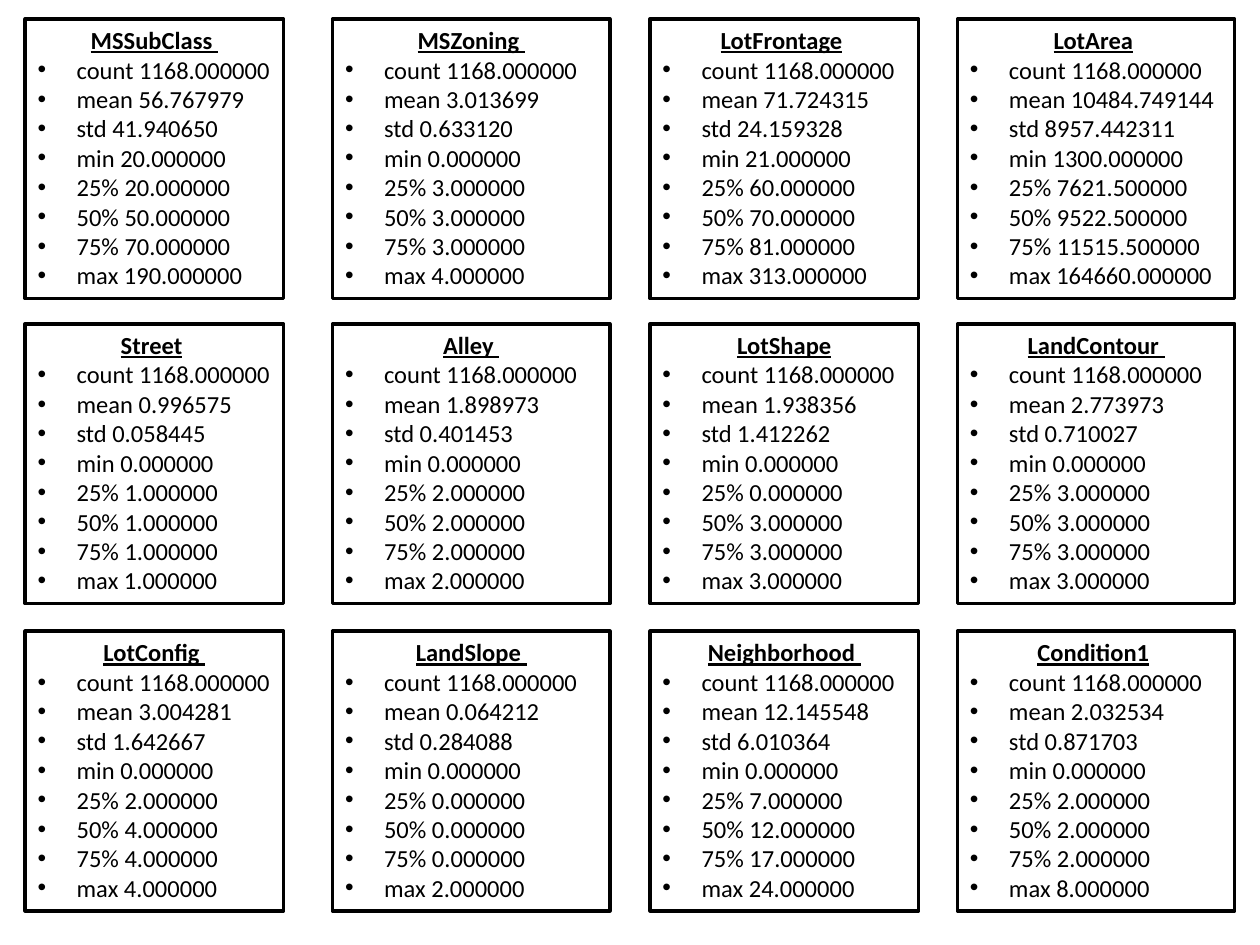
import pptx
import pptx.dml.color
import pptx.enum.shapes
import pptx.enum.text
import pptx.oxml
import pptx.oxml.ns
import pptx.util
from pptx.util import Inches

COLORS = {"fill": "FFFFFF", "ink": "000000"}
STAT_NAMES = ["count", "mean", "std", "min", "25%", "50%", "75%", "max"]
COLUMNS = [(0.2, 2.05), (2.64, 2.2), (5.16, 2.13), (7.6, 2.2)]
ROW_TOPS = [0.15, 2.57, 5.01]
CARD_HEIGHT = 2.22

FEATURES = [
    ("MSSubClass ", "", "1168.000000 56.767979 41.940650 20.000000 20.000000 50.000000 70.000000 190.000000"),
    ("MSZoning ", "", "1168.000000 3.013699 0.633120 0.000000 3.000000 3.000000 3.000000 4.000000"),
    ("LotFrontage", " ", "1168.000000 71.724315 24.159328 21.000000 60.000000 70.000000 81.000000 313.000000"),
    ("LotArea", " ", "1168.000000 10484.749144 8957.442311 1300.000000 7621.500000 9522.500000 11515.500000 164660.000000"),
    ("Street", " ", "1168.000000 0.996575 0.058445 0.000000 1.000000 1.000000 1.000000 1.000000"),
    ("Alley ", "", "1168.000000 1.898973 0.401453 0.000000 2.000000 2.000000 2.000000 2.000000"),
    ("LotShape", "", "1168.000000 1.938356 1.412262 0.000000 0.000000 3.000000 3.000000 3.000000"),
    ("LandContour ", "", "1168.000000 2.773973 0.710027 0.000000 3.000000 3.000000 3.000000 3.000000"),
    ("LotConfig ", "", "1168.000000 3.004281 1.642667 0.000000 2.000000 4.000000 4.000000 4.000000"),
    ("LandSlope ", "", "1168.000000 0.064212 0.284088 0.000000 0.000000 0.000000 0.000000 2.000000"),
    ("Neighborhood ", "", "1168.000000 12.145548 6.010364 0.000000 7.000000 12.000000 17.000000 24.000000"),
    ("Condition1", " ", "1168.000000 2.032534 0.871703 0.000000 2.000000 2.000000 2.000000 8.000000"),
]


def rgb(name):
    return pptx.dml.color.RGBColor.from_string(COLORS[name])


def style_text(paragraph, alignment):
    paragraph.alignment = alignment
    paragraph.font.name = "Calibri"
    paragraph.font.size = pptx.util.Pt(14)
    paragraph.font.color.rgb = rgb("ink")


def add_bullet(paragraph):
    properties = paragraph._p.get_or_add_pPr()
    properties.set("marL", str(Inches(0.31)))
    properties.set("indent", str(Inches(-0.31)))
    namespace = pptx.oxml.ns.nsdecls("a")
    for position, markup in enumerate([
        f'<a:buFont {namespace} typeface="Arial"/>',
        f'<a:buChar {namespace} char="•"/>',
    ]):
        properties.insert(position, pptx.oxml.parse_xml(markup))


def add_heading(paragraph, name, tail):
    style_text(paragraph, pptx.enum.text.PP_ALIGN.CENTER)
    heading = paragraph.add_run()
    heading.text = name
    heading.font.bold = True
    heading.font.underline = True
    if tail:
        paragraph.add_run().text = tail


def add_feature_card(slide, left, top, width, height, feature):
    name, tail, values = feature
    card = slide.shapes.add_shape(
        pptx.enum.shapes.MSO_SHAPE.RECTANGLE, left, top, width, height)
    card.shadow.inherit = False
    card.fill.solid()
    card.fill.fore_color.rgb = rgb("fill")
    card.line.color.rgb = rgb("ink")
    card.line.width = pptx.util.Pt(2)

    summary = card.text_frame
    summary.word_wrap = True
    summary.auto_size = pptx.enum.text.MSO_AUTO_SIZE.SHAPE_TO_FIT_TEXT
    summary.vertical_anchor = pptx.enum.text.MSO_ANCHOR.TOP
    add_heading(summary.paragraphs[0], name, tail)
    for stat, value in zip(STAT_NAMES, values.split()):
        line = summary.add_paragraph()
        line.text = f"{stat} {value}"
        style_text(line, pptx.enum.text.PP_ALIGN.LEFT)
        add_bullet(line)


def add_feature_grid(slide):
    for index, feature in enumerate(FEATURES):
        row, column = divmod(index, len(COLUMNS))
        left, width = COLUMNS[column]
        add_feature_card(slide, Inches(left), Inches(ROW_TOPS[row]),
                         Inches(width), Inches(CARD_HEIGHT), feature)


def main():
    deck = pptx.Presentation()
    deck.slide_width = Inches(10)
    deck.slide_height = Inches(7.5)
    slide = deck.slides.add_slide(deck.slide_layouts[6])
    add_feature_grid(slide)
    deck.save("out.pptx")


if __name__ == "__main__":
    main()
